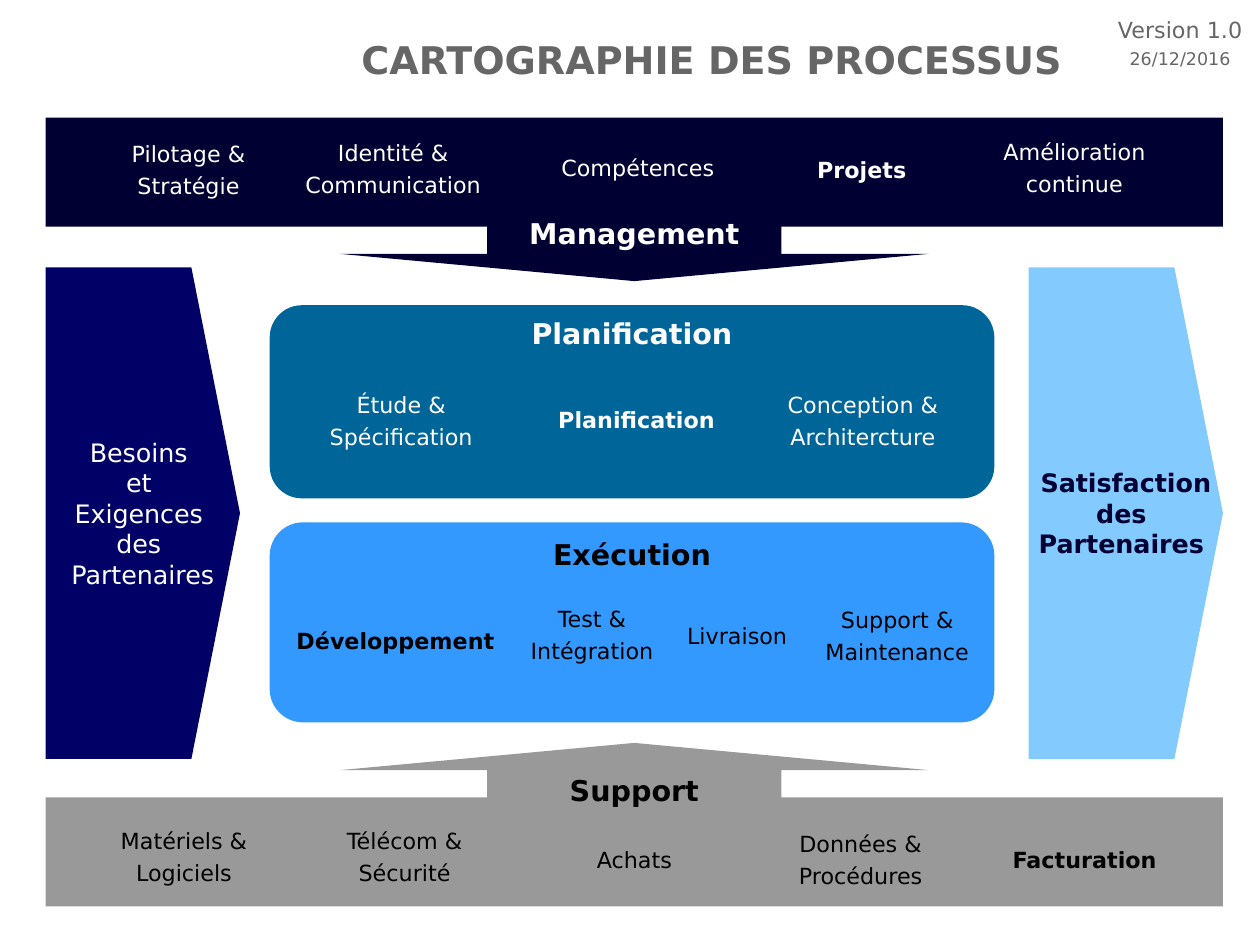
"""Build the process map slide: management, core processes and support."""
from pptx import Presentation
from pptx.dml.color import RGBColor
from pptx.enum.shapes import MSO_SHAPE
from pptx.enum.text import MSO_ANCHOR, PP_ALIGN
from pptx.util import Cm, Inches, Pt

PANEL_SHAPE = MSO_SHAPE.FLOWCHART_ALTERNATE_PROCESS
TOP, MIDDLE = MSO_ANCHOR.TOP, MSO_ANCHOR.MIDDLE
CENTER = PP_ALIGN.CENTER

THEME = {
    "font": "DejaVu Sans",
    "title": 24, "heading": 18, "arrow": 16, "label": 14, "date": 11,
    "white": "FFFFFF", "black": "000000", "text_grey": "666666",
    "midnight": "000033", "navy": "000066", "sky": "83CAFF",
    "teal": "006699", "blue": "3399FF", "grey": "999999",
}
SLIDE_WIDTH, SLIDE_HEIGHT = Cm(28), Cm(21)
BAND_LEFT, BAND_WIDTH, BAND_DEPTH = 0.4, 10.3, 1.43
ARROW_TOP, ARROW_WIDTH, ARROW_HEIGHT = 2.34, 1.7, 4.3
PANEL_LEFT, PANEL_WIDTH = 2.36, 6.34
LABEL_HEIGHT = 0.78

HEADER = [
    ((3, 0.12, 6.45, 0.71), [("CARTOGRAPHIE DES PROCESSUS", "title")], True),
    ((9.69, 0.06, 1.27, 0.58), [("Version 1.0", "label"), ("26/12/2016", "date")], False),
]
BANDS = [
    {"heading": "Management", "edge": 1.03, "direction": 1, "inset": 0.86,
     "fill": "midnight", "color": "white"},
    {"heading": "Support", "edge": 7.93, "direction": -1, "inset": 0.26,
     "fill": "grey", "color": "black"},
]
ARROWS = [
    (BAND_LEFT, ["Besoins ", "et ", "Exigences ", "des ", "Partenaires"],
     "navy", "white", False),
    (BAND_LEFT + BAND_WIDTH - ARROW_WIDTH, ["Satisfaction", "des ", "Partenaires "],
     "sky", "midnight", True),
]
PANELS = [
    ("Planification", 2.67, 1.69, 0.01, "teal", "white"),
    ("Exécution", 4.57, 1.75, 0.04, "blue", "black"),
]
LABEL_ROWS = [
    ("white", 1.44, [
        ("Pilotage & Stratégie", 1.65, 1.6, 0.02, False),
        ("Identité & Communication", 3.44, 2, 0.01, False),
        ("Compétences", 5.58, 1.55, 0, False),
        ("Projets", 7.54, 1.55, 0.02, True),
        ("Amélioration continue", 9.4, 1.55, 0, False)]),
    ("white", 3.66, [
        ("Étude & Spécification", 3.51, 1.49, 0, False),
        ("Planification", 5.57, 1.46, -0.01, True),
        ("Conception & Architercture", 7.55, 1.62, 0, False)]),
    ("black", 5.54, [
        ("Développement", 3.46, 1.85, 0.04, True),
        ("Test & Intégration", 5.18, 1.43, -0.01, False),
        ("Livraison", 6.45, 1.13, 0, False),
        ("Support & Maintenance", 7.85, 1.54, 0, False)]),
    ("black", 7.49, [
        ("Matériels & Logiciels", 1.61, 1.55, -0.02, False),
        ("Télécom & Sécurité", 3.54, 1.55, -0.02, False),
        ("Achats", 5.55, 1.62, 0.01, False),
        ("Données & Procédures", 7.53, 1.54, 0.01, False),
        ("Facturation", 9.49, 1.46, 0.01, True)]),
]


def rgb(name):
    return RGBColor.from_string(THEME[name])


def paint(shape, fill):
    shape.shadow.inherit = False
    shape.fill.solid()
    shape.fill.fore_color.rgb = rgb(fill)
    shape.line.fill.background()


def write(shape, lines, color, bold, anchor=MIDDLE, wrap=False, inset=0.03, spacing=1):
    frame = shape.text_frame
    frame.word_wrap = wrap
    frame.vertical_anchor = anchor
    frame.margin_left = frame.margin_right = frame.margin_bottom = Inches(0.03)
    frame.margin_top = Inches(inset)
    for index, (text, size) in enumerate(lines):
        paragraph = frame.add_paragraph() if index else frame.paragraphs[0]
        paragraph.text = text
        paragraph.alignment = CENTER
        paragraph.line_spacing = spacing
        font = paragraph.font
        font.name, font.size, font.bold = THEME["font"], Pt(THEME[size]), bold
        font.color.rgb = rgb(color)


def add_text(slide, box, lines, color, bold):
    shape = slide.shapes.add_textbox(*map(Inches, box))
    write(shape, lines, color, bold, wrap=True, spacing=1.2)


def add_outline(slide, points, fill):
    corners = [(Inches(x), Inches(y)) for x, y in points]
    builder = slide.shapes.build_freeform(*corners[0])
    builder.add_line_segments(corners[1:], close=True)
    shape = builder.convert_to_shape()
    paint(shape, fill)
    return shape


def add_band(slide, band):
    half = [(1 / 2, 0), (1 / 2, 2 / 3), (1 / 8, 2 / 3), (1 / 8, 5 / 6), (1 / 4, 5 / 6)]
    profile = half + [(0, 1)] + [(-across, down) for across, down in reversed(half)]
    middle = BAND_LEFT + BAND_WIDTH / 2
    points = [(middle + across * BAND_WIDTH,
               band["edge"] + band["direction"] * down * BAND_DEPTH)
              for across, down in profile]
    shape = add_outline(slide, points, band["fill"])
    write(shape, [(band["heading"], "heading")], band["color"], True, TOP, inset=band["inset"])


def add_arrow(slide, left, lines, fill, color, bold):
    profile = [(0, 0), (3 / 4, 0), (1, 1 / 2), (3 / 4, 1), (0, 1)]
    points = [(left + across * ARROW_WIDTH, ARROW_TOP + down * ARROW_HEIGHT)
              for across, down in profile]
    shape = add_outline(slide, points, fill)
    write(shape, [(line, "arrow") for line in lines], color, bold)


def add_panel(slide, heading, top, height, inset, fill, color):
    box = (PANEL_LEFT, top, PANEL_WIDTH, height)
    shape = slide.shapes.add_shape(PANEL_SHAPE, *map(Inches, box))
    paint(shape, fill)
    write(shape, [(heading, "heading")], color, True, TOP, inset=inset)


presentation = Presentation()
presentation.slide_width = SLIDE_WIDTH
presentation.slide_height = SLIDE_HEIGHT
slide = presentation.slides.add_slide(presentation.slide_layouts[6])

for band in BANDS:
    add_band(slide, band)
for arrow in ARROWS:
    add_arrow(slide, *arrow)
for panel in PANELS:
    add_panel(slide, *panel)
for box, lines, bold in HEADER:
    add_text(slide, box, lines, "text_grey", bold)
for color, row_middle, labels in LABEL_ROWS:
    for text, center, width, nudge, bold in labels:
        box = (center - width / 2, row_middle + nudge - LABEL_HEIGHT / 2, width, LABEL_HEIGHT)
        add_text(slide, box, [(text, "label")], color, bold)

presentation.save("out.pptx")
